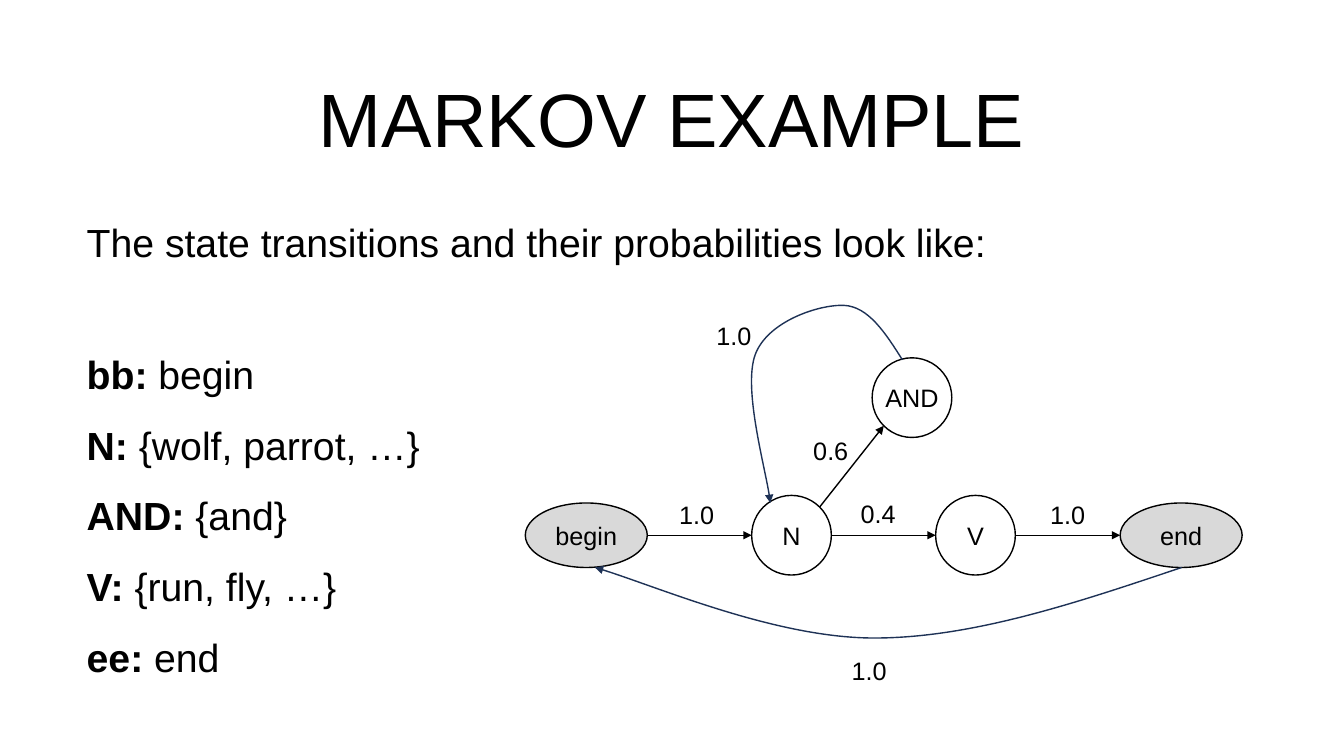
from dataclasses import dataclass
from math import sqrt

from lxml import etree
from pptx import Presentation
from pptx.dml.color import RGBColor
from pptx.enum.shapes import MSO_CONNECTOR, MSO_SHAPE
from pptx.enum.text import MSO_ANCHOR, MSO_AUTO_SIZE, PP_ALIGN
from pptx.oxml.ns import qn
from pptx.util import Inches, Pt

ELLIPSE = MSO_SHAPE.OVAL
STRAIGHT = MSO_CONNECTOR.STRAIGHT
MIDDLE = MSO_ANCHOR.MIDDLE
LEFT, CENTER = PP_ALIGN.LEFT, PP_ALIGN.CENTER
NO_AUTOFIT = MSO_AUTO_SIZE.NONE


@dataclass(frozen=True)
class Theme:
    font: str = "Arial"
    ink: str = "000000"
    state: str = "FFFFFF"
    terminal: str = "D9D9D9"
    curve: str = "1E3256"
    title_size: int = 54
    body_size: int = 28
    diagram_size: int = 18
    line_width: int = 1
    line_spacing: float = 1.5


THEME = Theme()

TITLE = "MARKOV EXAMPLE"
INTRO = "The state transitions and their probabilities look like:"
DEFINITIONS = [
    ("bb:", " begin"),
    ("N:", " {wolf, parrot, …}"),
    ("AND:", " {and}"),
    ("V:", " {run, fly, …}"),
    ("ee:", " end"),
]
TITLE_BOX = (2.16, 0.66, 9.01, 1.01)
INTRO_BOX = (0.76, 1.92, 9.27, 0.72)
DEFINITIONS_BOX = (0.76, 3.22, 3.75, 3.55)

TERMINAL_SIZE = (1.21, 0.64)
STATE_SIZE = (0.79, 0.79)
ROW_Y = 5.31
NODES = {
    "begin": (5.815, ROW_Y, TERMINAL_SIZE, THEME.terminal),
    "end": (11.715, ROW_Y, TERMINAL_SIZE, THEME.terminal),
    "N": (7.85, ROW_Y, STATE_SIZE, THEME.state),
    "V": (9.675, ROW_Y, STATE_SIZE, THEME.state),
    "AND": (9.045, 3.945, STATE_SIZE, THEME.state),
}
DIAGONAL = 1 / sqrt(2)
EAST = (1, 0)
NORTH_EAST = (DIAGONAL, -DIAGONAL)
TRANSITIONS = [
    ("begin", "N", EAST),
    ("N", "V", EAST),
    ("V", "end", EAST),
    ("N", "AND", NORTH_EAST),
]
CURVES = [
    [(11.72, 5.63), (10.68, 5.98), (9.64, 6.33), (8.67, 6.33),
     (7.7, 6.33), (6.45, 5.79), (5.9, 5.63)],
    [(8.95, 3.57), (8.78, 3.3), (8.61, 3.04), (8.37, 3.03),
     (8.12, 3.02), (7.61, 3.19), (7.49, 3.52),
     (7.37, 3.85), (7.62, 4.75), (7.64, 4.99)],
]
LABEL_SIZE = (0.76, 0.5)
PROBABILITIES = [
    ("1.0", 6.53, 4.78),
    ("0.6", 7.86, 4.14),
    ("1.0", 8.24, 6.33),
    ("1.0", 10.21, 4.78),
    ("0.4", 8.33, 4.77),
    ("1.0", 6.9, 3),
]


def apply_format(target, values):
    for name, value in values.items():
        setattr(target, name, value)


def place(shape, box):
    names = ("left", "top", "width", "height")
    apply_format(shape, dict(zip(names, map(Inches, box))))


def write(shape, lines, size, align, spacing=1.0, inset=0.1):
    frame = shape.text_frame
    apply_format(frame, {
        "word_wrap": True,
        "auto_size": NO_AUTOFIT,
        "vertical_anchor": MIDDLE,
        "margin_left": Inches(inset),
        "margin_right": Inches(inset),
        "margin_top": Inches(inset / 2),
        "margin_bottom": Inches(inset / 2),
    })
    for index, runs in enumerate(lines):
        paragraph = frame.add_paragraph() if index else frame.paragraphs[0]
        apply_format(paragraph, {
            "alignment": align,
            "line_spacing": spacing,
            "space_before": Pt(0),
        })
        for text, bold in runs:
            run = paragraph.add_run()
            run.text = text
            apply_format(run.font, {"name": THEME.font, "size": Pt(size), "bold": bold})
            run.font.color.rgb = RGBColor.from_string(THEME.ink)


def remove_bullets(shape):
    for paragraph in shape.text_frame.paragraphs:
        properties = paragraph._p.get_or_add_pPr()
        properties.set("marL", "0")
        properties.set("indent", "0")
        etree.SubElement(properties, qn("a:buNone"))


def set_line(shape, color, arrow=False):
    shape.line.color.rgb = RGBColor.from_string(color)
    shape.line.width = Pt(THEME.line_width)
    if arrow:
        etree.SubElement(shape.line._get_or_add_ln(), qn("a:tailEnd"), type="triangle")


def add_node(shapes, name):
    x, y, (width, height), fill = NODES[name]
    box = (x - width / 2, y - height / 2, width, height)
    node = shapes.add_shape(ELLIPSE, *map(Inches, box))
    node.shadow.inherit = False
    node.fill.solid()
    node.fill.fore_color.rgb = RGBColor.from_string(fill)
    set_line(node, THEME.ink)
    write(node, [[(name, False)]], THEME.diagram_size, CENTER, inset=0)


def edge_point(name, direction, sign):
    x, y, (width, height), _ = NODES[name]
    dx, dy = direction
    return Inches(x + sign * dx * width / 2), Inches(y + sign * dy * height / 2)


def add_transition(shapes, source, target, direction):
    start = edge_point(source, direction, 1)
    finish = edge_point(target, direction, -1)
    connector = shapes.add_connector(STRAIGHT, *start, *finish)
    set_line(connector, THEME.ink, arrow=True)
    etree.SubElement(connector._element.spPr, qn("a:effectLst"))


def add_curve(shapes, points):
    start, *rest = [(Inches(x), Inches(y)) for x, y in points]
    builder = shapes.build_freeform(*start, scale=1.0)
    builder.add_line_segments(rest, close=False)
    curve = builder.convert_to_shape()
    outline = next(curve._element.iter(qn("a:path")))
    segments = outline.findall(qn("a:lnTo"))
    for first in range(0, len(segments), 3):
        bezier = etree.SubElement(outline, qn("a:cubicBezTo"))
        for segment in segments[first:first + 3]:
            bezier.append(segment[0])
            outline.remove(segment)
    curve.shadow.inherit = False
    curve.fill.background()
    set_line(curve, THEME.curve, arrow=True)


def add_probability(shapes, text, left, top):
    label = shapes.add_textbox(*map(Inches, (left, top, *LABEL_SIZE)))
    write(label, [[(text, False)]], THEME.diagram_size, CENTER, THEME.line_spacing)


def main():
    presentation = Presentation()
    presentation.slide_width = Inches(13.33)
    presentation.slide_height = Inches(7.5)
    slide = presentation.slides.add_slide(presentation.slide_layouts[3])
    title, intro, definitions = slide.placeholders

    place(title, TITLE_BOX)
    write(title, [[(TITLE, False)]], THEME.title_size, CENTER)

    definition_lines = [[(term, True), (meaning, False)] for term, meaning in DEFINITIONS]
    for shape, box, lines in (
        (intro, INTRO_BOX, [[(INTRO, False)]]),
        (definitions, DEFINITIONS_BOX, definition_lines),
    ):
        place(shape, box)
        write(shape, lines, THEME.body_size, LEFT, THEME.line_spacing)
        remove_bullets(shape)

    diagram = slide.shapes.add_group_shape().shapes
    for name in NODES:
        add_node(diagram, name)
    for transition in TRANSITIONS:
        add_transition(diagram, *transition)
    for points in CURVES:
        add_curve(diagram, points)
    for probability in PROBABILITIES:
        add_probability(diagram, *probability)

    presentation.save("out.pptx")


if __name__ == "__main__":
    main()
